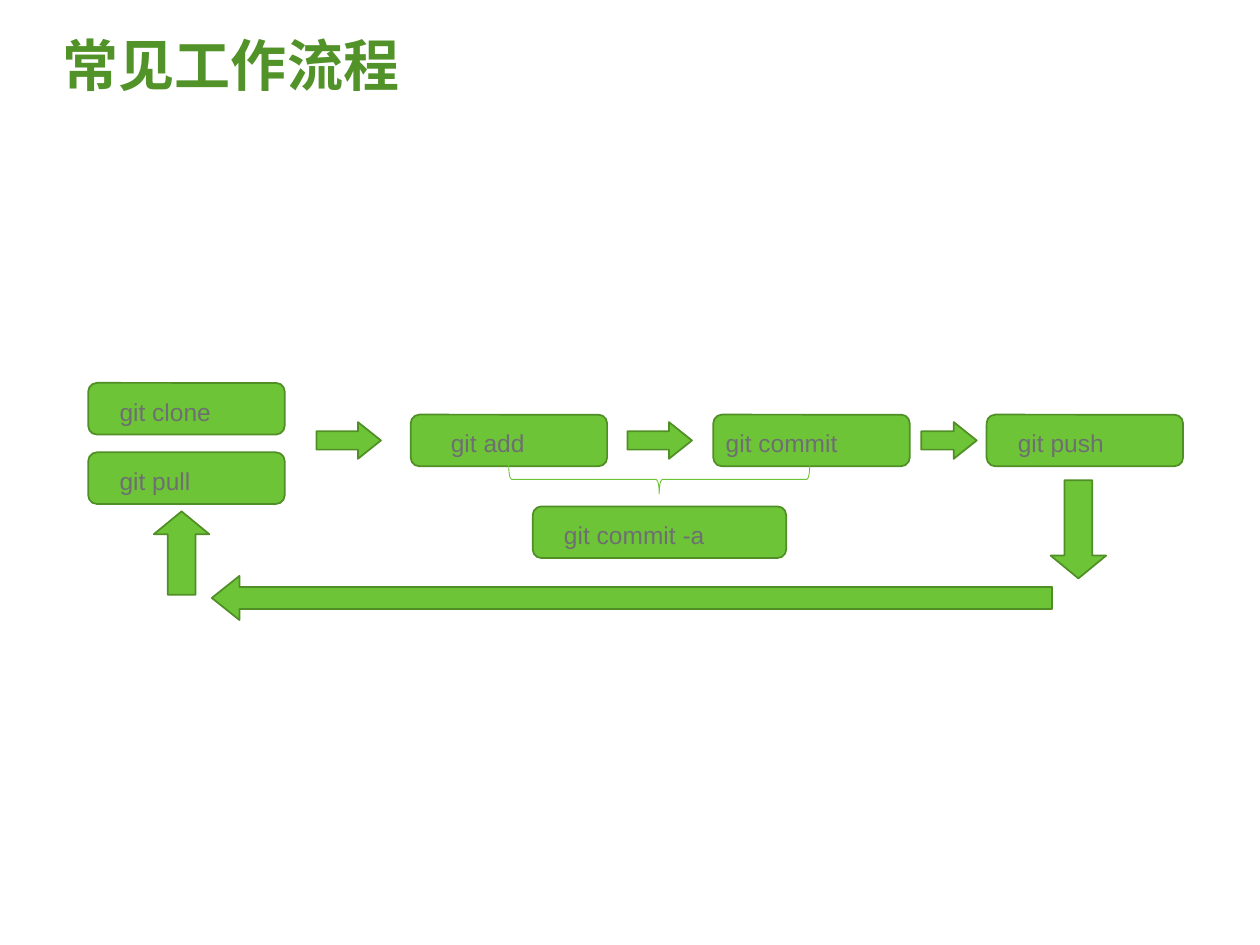
from lxml import etree
from pptx import Presentation
from pptx import util as u
from pptx.dml.color import RGBColor
from pptx.enum import shapes, text
from pptx.oxml.ns import qn

COLORS = {"title": "529329", "fill": "6EC437", "edge": "4F8F26", "label": "6D6F71"}
SHAPE = shapes.MSO_SHAPE


def color(name):
    return RGBColor.from_string(COLORS[name])


def add_text(page, words, box, *, size, font, tone, bold=False,
             anchor=text.MSO_ANCHOR.TOP, spacing=1.0):
    """Place one line of text in a box of (left, top, width, height) in cm."""
    frame = page.shapes.add_textbox(*map(u.Cm, box)).text_frame
    frame.word_wrap = True
    frame.vertical_anchor = anchor
    para = frame.paragraphs[0]
    para.line_spacing = spacing
    span = para.add_run()
    span.text = words
    span.font.name = font
    span.font.size = u.Pt(size)
    span.font.bold = bold
    span.font.color.rgb = color(tone)
    east_asian = etree.SubElement(span.font._element, qn("a:ea"))
    east_asian.set("typeface", font)


def add_figure(page, kind, box, adjustments, *, fill="fill", edge="edge",
               weight=1, rotation=0):
    """Place a preset shape; without a fill it is only an outline."""
    figure = page.shapes.add_shape(kind, *map(u.Cm, box))
    figure.shadow.inherit = False
    figure.rotation = rotation
    for index, value in enumerate(adjustments):
        figure.adjustments[index] = value
    if fill:
        figure.fill.solid()
        figure.fill.fore_color.rgb = color(fill)
    else:
        figure.fill.background()
    figure.line.color.rgb = color(edge)
    figure.line.width = u.Pt(weight)


def add_title(page, box):
    add_text(page, "常见工作流程", box, size=32, font="Noto Sans CJK SC", tone="title",
             bold=True, anchor=text.MSO_ANCHOR.MIDDLE, spacing=0.9)


def add_step(page, command, box, indent=0.38, label_width=3.2):
    """Rounded box with its command, indented from the left edge."""
    left, top, width, height = box
    add_figure(page, SHAPE.ROUNDED_RECTANGLE, box, [0.167])
    add_text(page, command, (left + indent, top + 0.15, label_width, 0.86),
             size=14, font="Arial", tone="label")


def add_workflow(page, box):
    left, top, width, height = box
    step_width, step_height = 3.96, 1.04
    row = top + 0.64

    # Commands: name, offset from the left, top, label format
    steps = [
        ("git clone", 0, top, {}),
        ("git pull", 0, top + 1.4, {}),
        ("git add", 6.5, row, {"indent": 0.56, "label_width": 2.82}),
        ("git commit", 12.6, row, {"indent": 0, "label_width": 3.78}),
        ("git push", width - step_width, row, {}),
    ]
    for command, offset, step_top, label in steps:
        add_step(page, command, (left + offset, step_top, step_width, step_height), **label)

    # Arrows between the steps
    for offset, length in [(4.6, 1.3), (10.87, 1.3), (16.79, 1.12)]:
        add_figure(page, SHAPE.RIGHT_ARROW, (left + offset, row + 0.15, length, 0.74),
                   [0.5, 0.627])

    # Shortcut that joins add and commit
    add_figure(page, SHAPE.LEFT_BRACE, (left + 11.22, top - 1.09, 0.58, 6.07),
               [0.102, 0.5], fill=None, edge="fill", weight=0.5, rotation=270)
    add_step(page, "git commit -a", (left + 8.96, top + 2.49, 5.11, step_height),
             label_width=4.93)

    # Way back from push to pull
    returns = [
        ((left + 18.97, top + 2.39, 1.98, 1.12), 0.411, 270),
        ((left + 2.49, top + height - 0.89, 16.94, 0.89), 0.627, 0),
        ((left + 1.04, top + 2.87, 1.68, 1.12), 0.411, 90),
    ]
    for arrow_box, head, rotation in returns:
        add_figure(page, SHAPE.LEFT_ARROW, arrow_box, [0.5, head], rotation=rotation)


def main():
    deck = Presentation()
    deck.slide_width, deck.slide_height = u.Cm(25.4), u.Cm(19.05)
    page = deck.slides.add_slide(deck.slide_layouts[6])
    add_title(page, (1.02, 0.28, 23.34, 2.21))
    add_workflow(page, (1.78, 7.72, 22.07, 4.78))
    deck.save("out.pptx")


if __name__ == "__main__":
    main()
